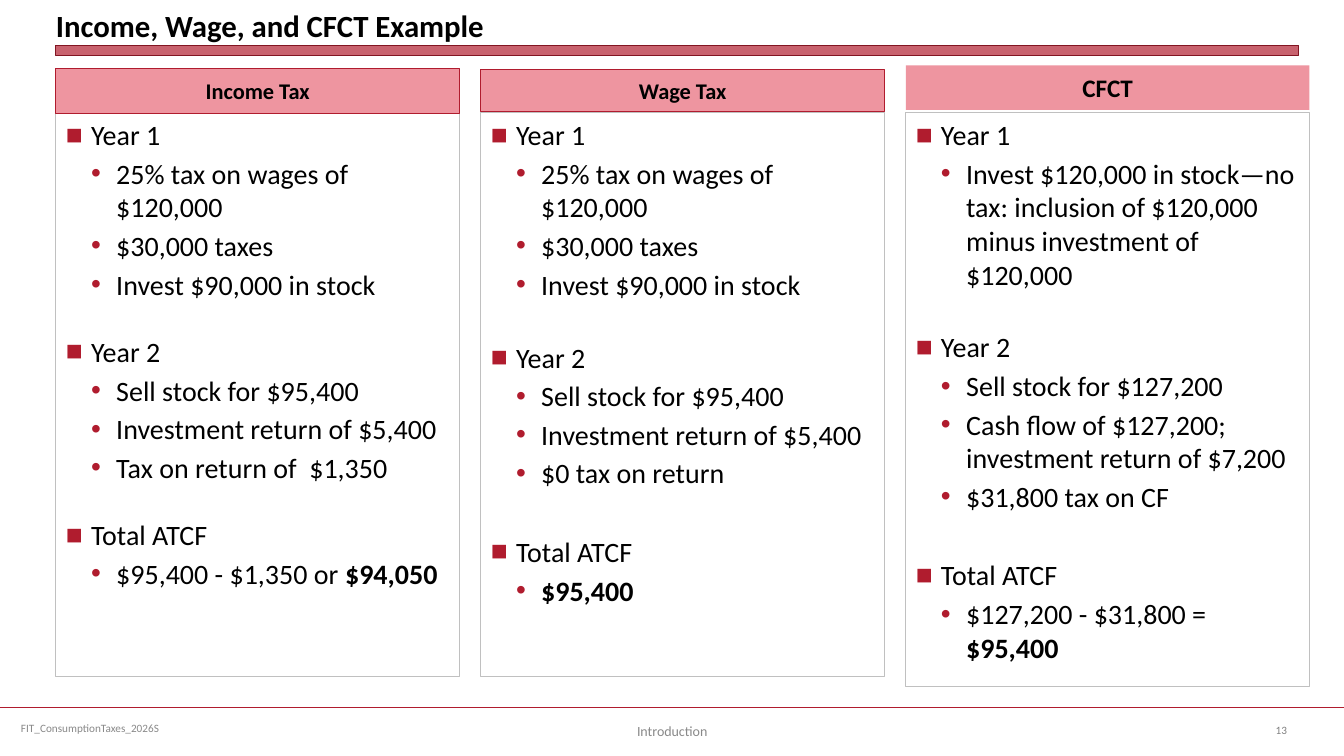
from lxml.etree import SubElement
from pptx import Presentation
from pptx.dml.color import RGBColor
from pptx.enum.shapes import MSO_CONNECTOR, MSO_SHAPE
from pptx.enum.text import MSO_ANCHOR, PP_ALIGN
from pptx.oxml.ns import qn
from pptx.util import Cm, Pt

COLORS = {
    "red": "B01C2E", "dark red": "821522", "pink": "EE95A0", "white": "FFFFFF",
    "black": "000000", "silver": "C0C0C0", "footer": "898989", "number": "808080",
}
FONT = "Calibri"
TITLE = "Income, Wage, and CFCT Example"

# Each section: heading, space above in points, items; an item may end in a bold part
COLUMNS = [
    {"name": "Income Tax", "size": 16, "top": 1.73, "height": 1.12, "border": "red",
     "body height": 14.22, "sections": [
         ("Year 1", 0, ["25% tax on wages of $120,000", "$30,000 taxes",
                        "Invest $90,000 in stock"]),
         ("Year 2", 24, ["Sell stock for $95,400", "Investment return of $5,400",
                         "Tax on return of  $1,350"]),
         ("Total ATCF", 24, [("$95,400 - $1,350 or ", "$94,050")])]},
    {"name": "Wage Tax", "size": 16, "top": 1.75, "height": 1.07, "border": "red",
     "body height": 14.22, "sections": [
         ("Year 1", 0, ["25% tax on wages of $120,000", "$30,000 taxes",
                        "Invest $90,000 in stock"]),
         ("Year 2", 28, ["Sell stock for $95,400", "Investment return of $5,400",
                         "$0 tax on return"]),
         ("Total ATCF", 32, [("", "$95,400")])]},
    {"name": "CFCT", "size": 18, "top": 1.65, "height": 1.12, "border": None,
     "body height": 14.45, "sections": [
         ("Year 1", 0, ["Invest $120,000 in stock—no tax: inclusion of $120,000 "
                        "minus investment of $120,000"]),
         ("Year 2", 28, ["Sell stock for $127,200",
                         "Cash flow of $127,200; investment return of $7,200",
                         "$31,800 tax on CF"]),
         ("Total ATCF", 32, [("$127,200 - $31,800 = ", "$95,400")])]},
]
# Text, left, top, width, size, colour, alignment
FOOTERS = [
    ("FIT_ConsumptionTaxes_2026S", 0.28, 17.83, 8.74, 8, "footer", PP_ALIGN.LEFT),
    ("Introduction", 11.58, 17.91, 10.72, 10, "footer", PP_ALIGN.CENTER),
    ("13", 31.9, 17.88, 1.7, 8, "number", PP_ALIGN.LEFT),
]
SLIDE_WIDTH, SLIDE_HEIGHT = 33.87, 19.05
LEFT, PITCH, COLUMN_WIDTH, BODY_TOP = 1.41, 10.71, 10.17, 2.84
TITLE_WIDTH, FOOTER_LINE, FOOTER_HEIGHT = 31.32, 17.83, 1.02
INDENT, ITEM_SPACE = 0.635, 3.6


def rgb(name):
    return RGBColor.from_string(COLORS[name])


def style(para, size, color="black", bold=False, align=PP_ALIGN.LEFT):
    para.alignment = align
    font = para.font
    font.name, font.size, font.bold = FONT, Pt(size), bold
    font.color.rgb = rgb(color)


def add_box(page, left, top, width, height, fill, border, line_width=0.75):
    box = page.shapes.add_shape(MSO_SHAPE.RECTANGLE, Cm(left), Cm(top), Cm(width), Cm(height))
    box.shadow.inherit = False
    box.fill.solid()
    box.fill.fore_color.rgb = rgb(fill)
    if border:
        box.line.color.rgb = rgb(border)
        box.line.width = Pt(line_width)
    else:
        box.line.fill.background()
    return box


def add_bullet(para, level, space):
    para.level = level
    para.space_before = Pt(space)
    properties = para._p.get_or_add_pPr()
    properties.set("marL", str(Cm(INDENT * (level + 1))))
    properties.set("indent", str(-Cm(INDENT)))
    color = SubElement(properties, qn("a:buClr"))
    SubElement(color, qn("a:srgbClr"), val=COLORS["red"])
    SubElement(properties, qn("a:buFont"), typeface="Arial")
    SubElement(properties, qn("a:buChar"), char="■•"[level])


def add_column(page, left, column):
    # Body first, so that the header lies over its top edge
    body = add_box(page, left, BODY_TOP, COLUMN_WIDTH, column["body height"], "white", "silver")
    frame = body.text_frame
    frame.word_wrap = True
    frame.vertical_anchor = MSO_ANCHOR.TOP
    lines = []
    for heading, space, items in column["sections"]:
        lines.append((0, space, heading))
        lines += [(1, ITEM_SPACE, item) for item in items]
    for index, (level, space, content) in enumerate(lines):
        para = frame.add_paragraph() if index else frame.paragraphs[0]
        add_bullet(para, level, space)
        style(para, 20)
        plain, bold = (content, "") if isinstance(content, str) else content
        if plain:
            para.add_run().text = plain
        if bold:
            span = para.add_run()
            span.text = bold
            span.font.bold = True

    header = add_box(page, left, column["top"], COLUMN_WIDTH, column["height"],
                     "pink", column["border"])
    header.text_frame.text = column["name"]
    header.text_frame.vertical_anchor = MSO_ANCHOR.MIDDLE
    style(header.text_frame.paragraphs[0], column["size"], bold=True, align=PP_ALIGN.CENTER)


def main():
    deck = Presentation()
    deck.slide_width, deck.slide_height = Cm(SLIDE_WIDTH), Cm(SLIDE_HEIGHT)
    page = deck.slides.add_slide(deck.slide_layouts[5])

    # Title and the bar below it
    title = page.shapes.title
    title.left, title.top, title.width, title.height = Cm(LEFT), Cm(0), Cm(TITLE_WIDTH), Cm(1.09)
    frame = title.text_frame
    frame.text = TITLE
    frame.margin_left = frame.margin_right = frame.margin_top = frame.margin_bottom = 0
    frame.vertical_anchor = MSO_ANCHOR.BOTTOM
    style(frame.paragraphs[0], 22, bold=True)
    bar = add_box(page, LEFT, 1.14, TITLE_WIDTH, 0.25, "red", "dark red", 0)
    bar_color = bar.fill._xPr.find(qn("a:solidFill"))[0]
    SubElement(bar_color, qn("a:alpha"), val="69000")

    # Three tax columns
    for index, column in enumerate(COLUMNS):
        add_column(page, LEFT + index * PITCH, column)

    # Footer line and texts
    rule = page.shapes.add_connector(MSO_CONNECTOR.STRAIGHT, Cm(0), Cm(FOOTER_LINE),
                                     Cm(SLIDE_WIDTH), Cm(FOOTER_LINE))
    rule.line.color.rgb = rgb("red")
    rule.line.width = Pt(1.25)
    SubElement(rule._element.spPr, qn("a:effectLst"))
    for text, left, top, width, size, color, align in FOOTERS:
        box = page.shapes.add_textbox(Cm(left), Cm(top), Cm(width), Cm(FOOTER_HEIGHT))
        box.text_frame.word_wrap = True
        box.text_frame.vertical_anchor = MSO_ANCHOR.MIDDLE
        box.text_frame.text = text
        style(box.text_frame.paragraphs[0], size, color, align=align)

    deck.save("out.pptx")


if __name__ == "__main__":
    main()
